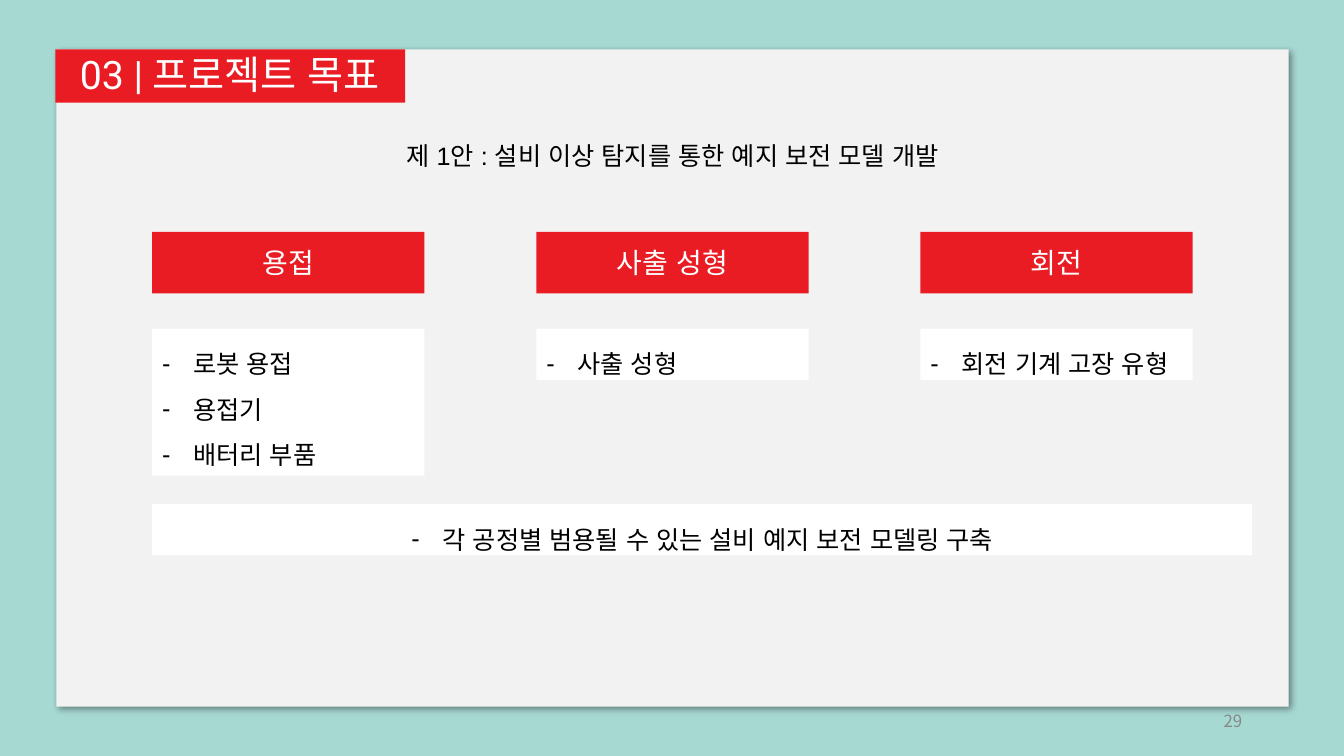
from lxml import etree
from pptx import Presentation
from pptx.dml.color import RGBColor
from pptx.enum.lang import MSO_LANGUAGE_ID
from pptx.enum.shapes import MSO_SHAPE
from pptx.enum.text import MSO_ANCHOR, MSO_AUTO_SIZE, PP_ALIGN
from pptx.oxml import parse_xml
from pptx.oxml.ns import nsdecls, qn
from pptx.util import Inches, Pt

RECT = MSO_SHAPE.RECTANGLE
TOP, MIDDLE = MSO_ANCHOR.TOP, MSO_ANCHOR.MIDDLE
LEFT, CENTER, RIGHT = PP_ALIGN.LEFT, PP_ALIGN.CENTER, PP_ALIGN.RIGHT
KOREAN = MSO_LANGUAGE_ID.KOREAN
HANGUL = "Noto Sans CJK KR"
COLORS = {"back": "A7D9D3", "panel": "F2F2F2", "red": "E91C24",
          "white": "FFFFFF", "black": "000000", "gray": "888888"}

prs = Presentation()
prs.slide_width, prs.slide_height = Inches(13.33), Inches(7.5)
slide = prs.slides.add_slide(prs.slide_layouts[5])
shapes = slide.shapes
slide.background.fill.solid()
slide.background.fill.fore_color.rgb = RGBColor.from_string(COLORS["back"])


def add_box(x, y, w, h, color):
    box = shapes.add_shape(RECT, Inches(x), Inches(y), Inches(w), Inches(h))
    box.shadow.inherit = False
    box.fill.solid()
    box.fill.fore_color.rgb = RGBColor.from_string(COLORS[color])
    box.line.fill.background()
    return box


def set_text(shape, lines, size, color, align=CENTER, anchor=MIDDLE,
             font="Arial", space=None, bullet=False):
    frame = shape.text_frame
    frame.text = "\n".join(lines)
    frame.word_wrap = True
    frame.auto_size = MSO_AUTO_SIZE.NONE
    frame.vertical_anchor = anchor
    for para in frame.paragraphs:
        para.alignment = align
        para.line_spacing = space
        if bullet:
            props = para._p.get_or_add_pPr()
            props.set("marL", str(Inches(0.31)))
            props.set("indent", str(-Inches(0.31)))
            etree.SubElement(props, qn("a:buFont")).set("typeface", "Arial")
            etree.SubElement(props, qn("a:buChar")).set("char", "-")
        for run in para.runs:
            run.font.size = Pt(size)
            run.font.name = font
            run.font.language_id = KOREAN
            run.font.color.rgb = RGBColor.from_string(COLORS[color])
            etree.SubElement(run._r.rPr, qn("a:ea")).set("typeface", HANGUL)


# Panel with a soft shadow
panel = add_box(0.56, 0.49, 12.22, 6.52, "panel")
panel._element.spPr.find(qn("a:effectLst")).append(parse_xml(
    f'<a:outerShdw {nsdecls("a")} blurRad="{Pt(4)}" dist="{Pt(3)}" '
    'dir="2700000" algn="tl" rotWithShape="0"><a:srgbClr val="000000">'
    '<a:alpha val="40000"/></a:srgbClr></a:outerShdw>'))

# Page number
page = shapes.add_textbox(Inches(9.42), Inches(6.95), Inches(3), Inches(0.4))
set_text(page, ["29"], 12, "gray", RIGHT, font=HANGUL)

# Title on its red tab
tab = add_box(0.55, 0.49, 3.47, 0.53, "red")
title = shapes.title
title.left, title.top = Inches(0.48), Inches(0.55)
title.width, title.height = Inches(3.6), Inches(0.42)
set_text(title, ["03 | 프로젝트 목표"], 28, "white", anchor=TOP,
         font="Roboto", space=0.9)
frame = title.text_frame
frame.margin_left = frame.margin_right = 0
frame.margin_top = frame.margin_bottom = 0
tab._element.addnext(title._element)

# Plan heading
plan = shapes.add_textbox(Inches(2.29), Inches(1.34), Inches(8.76), Inches(0.4))
set_text(plan, ["제 1안 : 설비 이상 탐지를 통한 예지 보전 모델 개발"], 18, "black",
         anchor=TOP)

# Three process columns
COLUMNS = [("용접", ["로봇 용접", "용접기", "배터리 부품"], 1.46),
           ("사출 성형", ["사출 성형"], 0.51),
           ("회전", ["회전 기계 고장 유형"], 0.51)]
for i, (name, items, height) in enumerate(COLUMNS):
    x = 1.51 + i * 3.81
    set_text(add_box(x, 2.3, 2.7, 0.61, "red"), [name], 20, "white")
    set_text(add_box(x, 3.26, 2.7, height, "white"), items, 18, "black",
             LEFT, TOP, space=1.5, bullet=True)

# Shared goal
goal = add_box(1.51, 5, 10.91, 0.51, "white")
set_text(goal, ["각 공정별 범용될 수 있는 설비 예지 보전 모델링 구축"], 18, "black",
         anchor=TOP, space=1.5, bullet=True)

prs.save("out.pptx")
